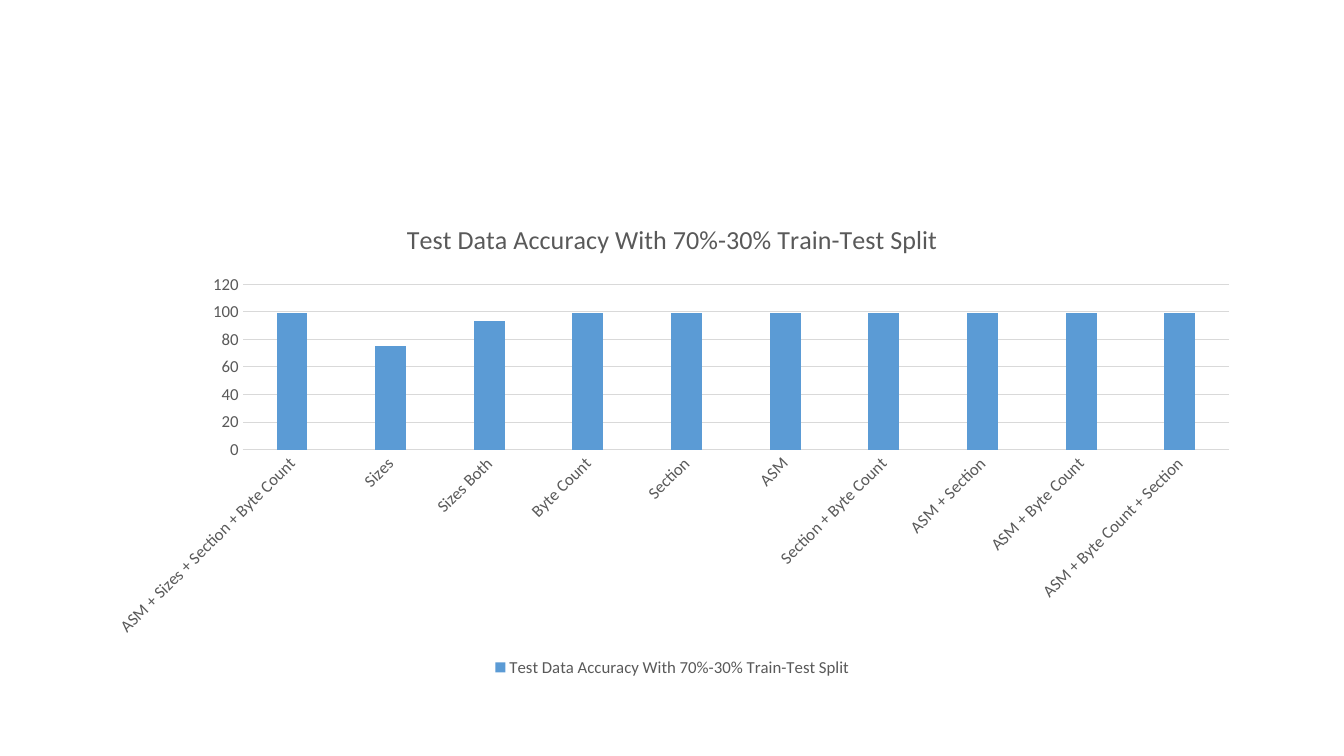
from typing import NamedTuple

from pptx import Presentation
from pptx import util as u
from pptx.chart import data as chart_data
from pptx.dml.color import RGBColor
from pptx.enum import chart as chart_enum

TEXT_GREY = RGBColor(0x59, 0x59, 0x59)
LINE_GREY = RGBColor(0xD9, 0xD9, 0xD9)
BAR_BLUE = RGBColor(0x5B, 0x9B, 0xD5)
FONT_NAME = "Calibri"
CHART_TITLE = "Test Data Accuracy With 70%-30% Train-Test Split"
PLUS = "\u00a0+\u00a0"  # keeps combined feature names on one line


class Accuracy(NamedTuple):
    features: tuple[str, ...]
    percent: int


ACCURACIES = (
    Accuracy(("ASM", "Sizes", "Section", "Byte Count"), 99),
    Accuracy(("Sizes",), 75),
    Accuracy(("Sizes Both",), 93),
    Accuracy(("Byte Count",), 99),
    Accuracy(("Section",), 99),
    Accuracy(("ASM",), 99),
    Accuracy(("Section", "Byte Count"), 99),
    Accuracy(("ASM", "Section"), 99),
    Accuracy(("ASM", "Byte Count"), 99),
    Accuracy(("ASM", "Byte Count", "Section"), 99),
)


def style_font(font, size: float) -> None:
    font.name = FONT_NAME
    font.size = u.Pt(size)
    font.bold = False
    font.color.rgb = TEXT_GREY


def style_line(line) -> None:
    line.color.rgb = LINE_GREY
    line.width = u.Pt(0.75)


def style_axis(axis) -> None:
    axis.major_tick_mark = chart_enum.XL_TICK_MARK.NONE
    axis.minor_tick_mark = chart_enum.XL_TICK_MARK.NONE
    style_font(axis.tick_labels.font, 12)


presentation = Presentation()
presentation.slide_width = u.Inches(13.33)
presentation.slide_height = u.Inches(7.5)
slide = presentation.slides.add_slide(presentation.slide_layouts[6])

# Accuracy data
accuracy_data = chart_data.CategoryChartData()
accuracy_data.categories = [PLUS.join(row.features) for row in ACCURACIES]
accuracy_data.add_series(CHART_TITLE, [row.percent for row in ACCURACIES])

# Column chart
chart = slide.shapes.add_chart(
    chart_enum.XL_CHART_TYPE.COLUMN_CLUSTERED,
    u.Inches(0.92), u.Inches(2), u.Inches(11.5), u.Inches(4.76),
    accuracy_data,
).chart
chart.font.name = FONT_NAME
chart.font.size = u.Pt(10)

# Chart title
chart.has_title = True
title_frame = chart.chart_title.text_frame
title_frame.text = CHART_TITLE
style_font(title_frame.paragraphs[0].runs[0].font, 18.6)
chart.chart_title.include_in_layout = False

# Legend
chart.has_legend = True
chart.legend.position = chart_enum.XL_LEGEND_POSITION.BOTTOM
chart.legend.include_in_layout = False
style_font(chart.legend.font, 12)

# Columns
plot = chart.plots[0]
plot.vary_by_categories = False
plot.gap_width = 219
plot.overlap = -27
columns = plot.series[0]
columns.format.fill.solid()
columns.format.fill.fore_color.rgb = BAR_BLUE

# Axes, with category names slanted by 45 degrees
category_axis, value_axis = chart.category_axis, chart.value_axis
style_axis(category_axis)
style_axis(value_axis)
style_line(category_axis.format.line)
value_axis.format.line.fill.background()
value_axis.minimum_scale = 0
value_axis.maximum_scale = 120
value_axis.major_unit = 20
value_axis.has_major_gridlines = True
style_line(value_axis.major_gridlines.format.line)
category_axis._element.txPr.bodyPr.set("rot", str(-45 * 60000))

presentation.save("out.pptx")
